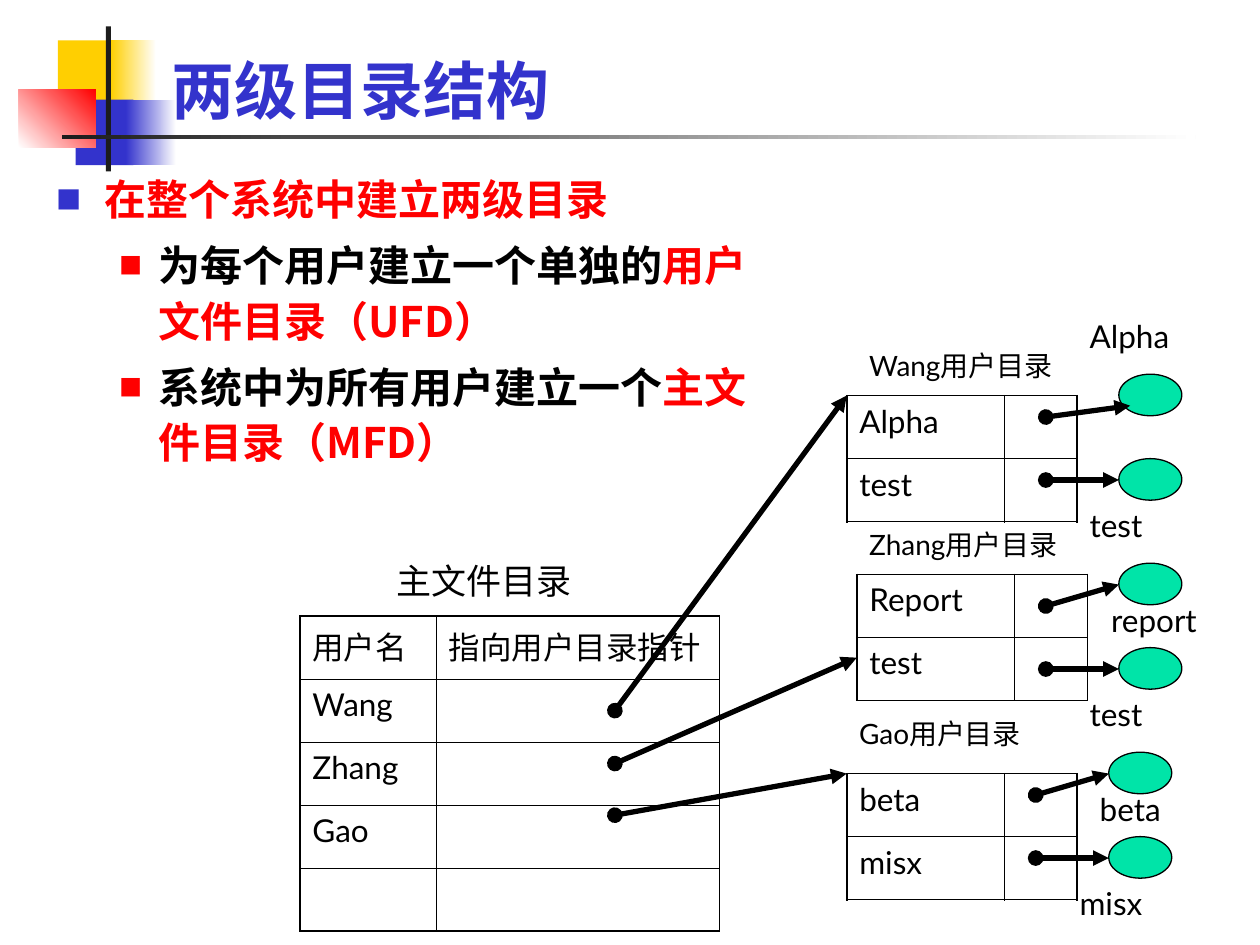
import pptx
import pptx.util
import pptx.dml.color
import pptx.enum.shapes
import pptx.enum.text
import pptx.oxml
import pptx.oxml.ns
from lxml import etree

Inches, Pt = pptx.util.Inches, pptx.util.Pt
SHAPE = pptx.enum.shapes.MSO_SHAPE
COLORS = {"yellow": "FFCF01", "blue": "3333CC", "red": "FF0000", "ink": "1C1C1C",
          "white": "FFFFFF", "black": "000000", "green": "00E4A8"}
LATIN, HAN = "Lato", "Noto Sans CJK SC"
ROW = 0.5
OVAL = (0.5, 0.33)

# left, top, width, height, first colour, second colour, angle
DECOR = [
    (0.46, 0.32, 0.48, 0.52, "yellow", None, 0),
    (0.88, 0.32, 0.36, 0.52, "yellow", "white", 0),
    (0.6, 0.79, 0.46, 0.52, "blue", None, 0),
    (1, 0.79, 0.4, 0.52, "blue", "white", 0),
    (0.15, 0.71, 0.61, 0.46, "white", "red", 45),
    (0.84, 0.21, 0.04, 1.15, "ink", None, 0),
    (0.49, 1.07, 9, 0.03, "ink", "white", 0),
]
# level, bullet colour, bullet size, left margin, hanging indent, coloured pieces
POINTS = [
    (0, "blue", 60, 0.38, 0.38, [("在整个系统中建立两级目录", "red")]),
    (1, "red", 55, 0.81, 0.31, [("为每个用户建立一个单独的", "black"), ("用户文件目录（UFD）", "red")]),
    (1, "red", 55, 0.81, 0.31, [("系统中为所有用户建立一个", "black"), ("主文件目录（MFD）", "red")]),
]
# caption, caption top, table left, table top, entries
USERS = [
    ("Wang用户目录", (6.8, 2.72), (6.72, 3.14), ["Alpha", "test"]),
    ("Zhang用户目录", (6.8, 4.14), (6.8, 4.56), ["Report", "test"]),
    ("Gao用户目录", (6.72, 5.64), (6.72, 6.14), ["beta", "misx"]),
]
# file names, left of the ovals, base line, first label and first arrow tip
FILES = [
    (["Alpha", "test"], 8.88, 3.14, (8.55, 2.47), (8.97, 3.22)),
    (["report", "test"], 8.88, 4.64, (8.72, 4.72), (8.88, 4.64)),
    (["beta", "misx"], 8.8, 6.14, (8.63, 6.22), (8.8, 6.14)),
]
POINTERS = [((4.88, 5.64), (6.72, 3.14)), ((4.88, 6.06), (6.8, 5.22)),
            ((4.88, 6.47), (6.72, 6.14))]


def rgb(name):
    return pptx.dml.color.RGBColor.from_string(COLORS[name])


def add_node(parent, tag, **attrs):
    return etree.SubElement(parent, pptx.oxml.ns.qn(tag), attrs)


def style(run, size, color="black", bold=False, face=LATIN):
    run.font.size, run.font.bold, run.font.name = Pt(size), bold, face
    run.font.color.rgb = rgb(color)
    add_node(run.font._element, "a:ea", typeface=HAN)


def style_all(frame, *args, **more):
    for para in frame.paragraphs:
        for run in para.runs:
            style(run, *args, **more)


def add_text(slide, text, spot, width, height, size):
    box = slide.shapes.add_textbox(*map(Inches, (*spot, width, height)))
    box.text_frame.word_wrap = True
    box.text_frame.text = text
    style_all(box.text_frame, size)


def add_block(slide, left, top, width, height, color, fade=None, angle=0, kind=SHAPE.RECTANGLE):
    block = slide.shapes.add_shape(kind, *map(Inches, (left, top, width, height)))
    block.shadow.inherit = False
    block.line.fill.background()
    if fade:
        block.fill.gradient()
        block.fill.gradient_angle = angle
        for stop, name in zip(block.fill.gradient_stops, (color, fade)):
            stop.color.rgb = rgb(name)
    else:
        block.fill.solid()
        block.fill.fore_color.rgb = rgb(color)
    return block


def add_oval(slide, left, top):
    oval = add_block(slide, left, top, *OVAL, "green", kind=SHAPE.OVAL)
    oval.line.color.rgb = rgb("black")
    oval.line.width = Pt(0.75)


def add_arrow(slide, start, end):
    """Draw a thick line with a dot at its start and a triangle at its end."""
    kind = pptx.enum.shapes.MSO_CONNECTOR.STRAIGHT
    arrow = slide.shapes.add_connector(kind, *map(Inches, (*start, *end)))
    arrow.line.color.rgb = rgb("black")
    arrow.line.width = Pt(3)
    line = arrow.line._get_or_add_ln()
    add_node(line, "a:headEnd", type="oval")
    add_node(line, "a:tailEnd", type="triangle")
    add_node(arrow._element.spPr, "a:effectLst")


def add_border(cell, outer):
    """Give the cell four sides, thicker where outer is true."""
    props = cell._tc.get_or_add_tcPr()
    for side, thick in zip("LRTB", outer):
        line = add_node(props, "a:ln" + side, w=str(Pt(1.08 if thick else 0.45)))
        add_node(add_node(line, "a:solidFill"), "a:srgbClr", val=COLORS["black"])


def add_grid(slide, spot, widths, rows):
    count, last = len(rows), len(widths) - 1
    frame = slide.shapes.add_table(count, len(widths), *map(Inches, (*spot, sum(widths), ROW * count)))
    table = frame.table
    table.first_row = table.horz_banding = False
    for col, width in zip(table.columns, widths):
        col.width = Inches(width)
    for r, texts in enumerate(rows):
        table.rows[r].height = Inches(ROW)
        for c, text in enumerate(texts):
            cell = table.cell(r, c)
            add_border(cell, (c == 0, c == last, r == 0, r == count - 1))
            cell.fill.background()
            cell.text_frame.text = text
            style_all(cell.text_frame, 18)


def add_title(slide, text):
    title = slide.shapes.title
    title.left, title.top, title.width, title.height = map(Inches, (1.26, -0.19, 8.52, 1.25))
    frame = title.text_frame
    frame.text = text
    frame.vertical_anchor = pptx.enum.text.MSO_ANCHOR.BOTTOM
    frame.paragraphs[0].alignment = pptx.enum.text.PP_ALIGN.LEFT
    style_all(frame, 36, "blue", True)
    slide.shapes._spTree.append(title._element)


def add_points(slide):
    box = slide.shapes.add_textbox(*map(Inches, (0.35, 1.29, 5.91, 2.77)))
    frame = box.text_frame
    frame.word_wrap = True
    for i, (level, color, size, margin, hang, pieces) in enumerate(POINTS):
        para = frame.add_paragraph() if i else frame.paragraphs[0]
        para.level = level
        props = para._p.get_or_add_pPr()
        props.set("marL", str(Inches(margin)))
        props.set("indent", str(-Inches(hang)))
        add_node(add_node(props, "a:buClr"), "a:srgbClr", val=COLORS[color])
        add_node(props, "a:buSzPct", val=str(size * 1000))
        add_node(props, "a:buFont", typeface=HAN)
        add_node(props, "a:buChar", char="■")
        para.line_spacing = 1.1
        if i:
            para.space_before = Pt(6)
        for text, tint in pieces:
            run = para.add_run()
            run.text = text
            style(run, 24, tint, True, HAN)


def add_files(slide, names, left, base, label, tip):
    """Draw a user's two files, each with its name and the arrow to it."""
    labels = [label, (left - 0.33, base + 0.83)]
    tips = [tip, (left, base + 0.67)]
    for i, name in enumerate(names):
        add_oval(slide, left, base - 0.17 + 0.67 * i)
        add_text(slide, name, labels[i], 1.33 if name == "Alpha" else 1, 0.4, 18)
        add_arrow(slide, (left - 0.58, base + 0.17 + ROW * i), tips[i])


def main():
    deck = pptx.Presentation()
    deck.slide_width, deck.slide_height = Inches(10), Inches(7.5)
    slide = deck.slides.add_slide(deck.slide_layouts[5])
    for item in DECOR:
        add_block(slide, *item)
    add_title(slide, "两级目录结构")
    add_points(slide)
    for caption, spot, corner, names in USERS:
        add_text(slide, caption, spot, 1.75, 0.37, 16)
        add_grid(slide, corner, (1.25, 0.58), [(name, "") for name in names])
    for group in FILES:
        add_files(slide, *group)
    add_grid(slide, (2.38, 4.89), (1.08, 2.25),
             [("用户名", "指向用户目录指针"), ("Wang", ""), ("Zhang", ""), ("Gao", ""), ("", "")])
    for start, end in POINTERS:
        add_arrow(slide, start, end)
    add_text(slide, "主文件目录", (3.05, 4.39), 1.75, 0.44, 20)
    deck.save("out.pptx")


if __name__ == "__main__":
    main()
